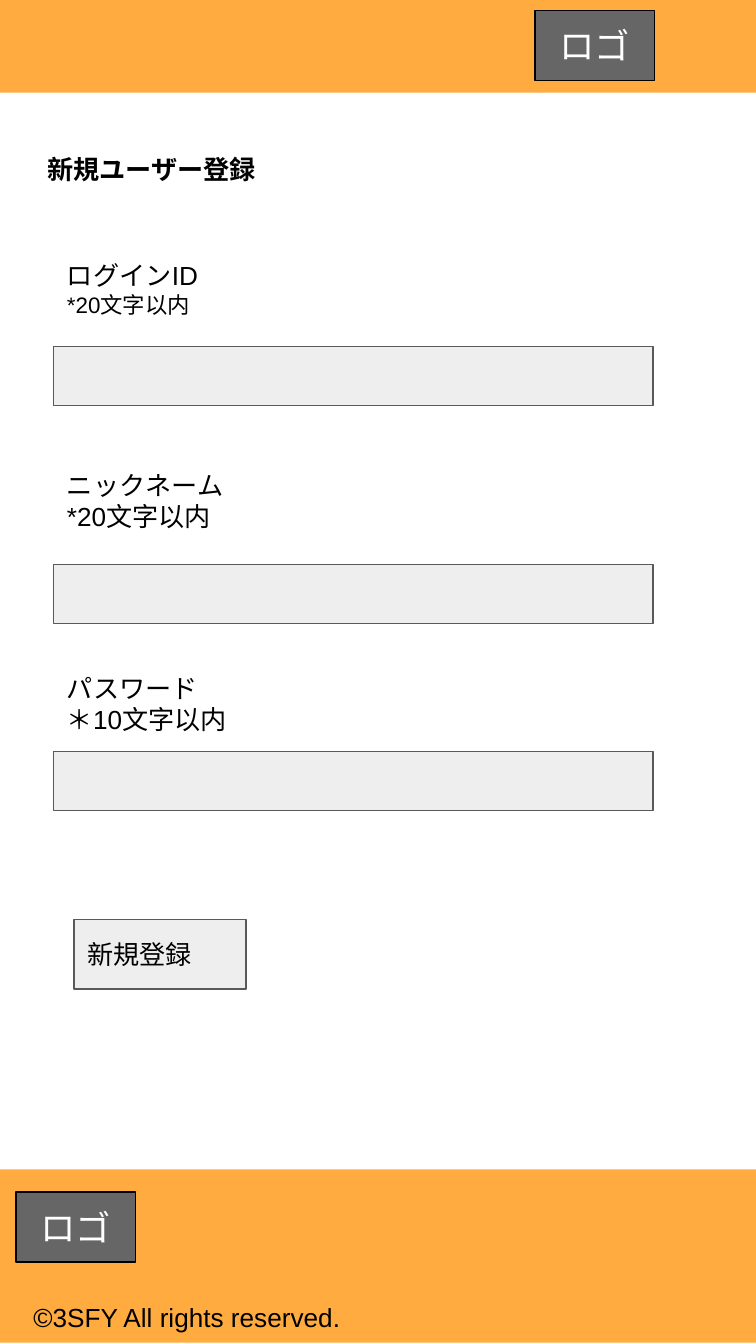
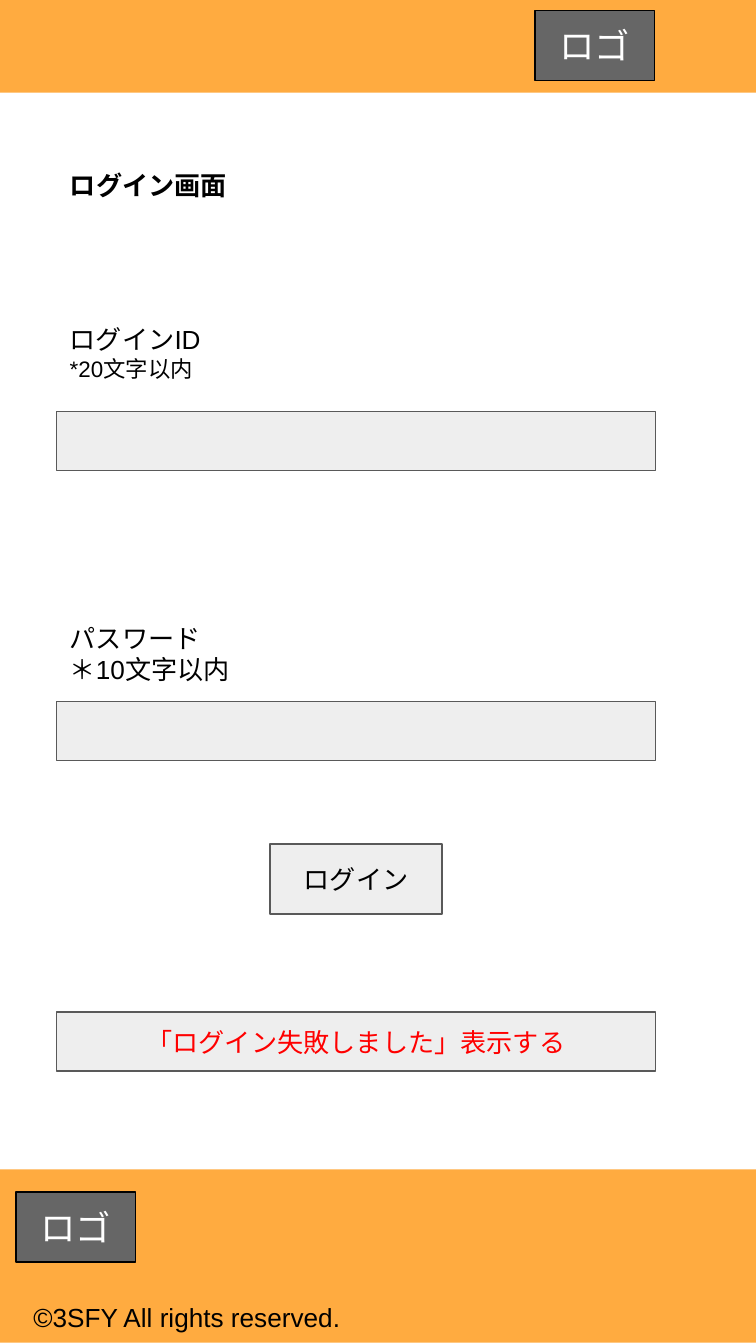
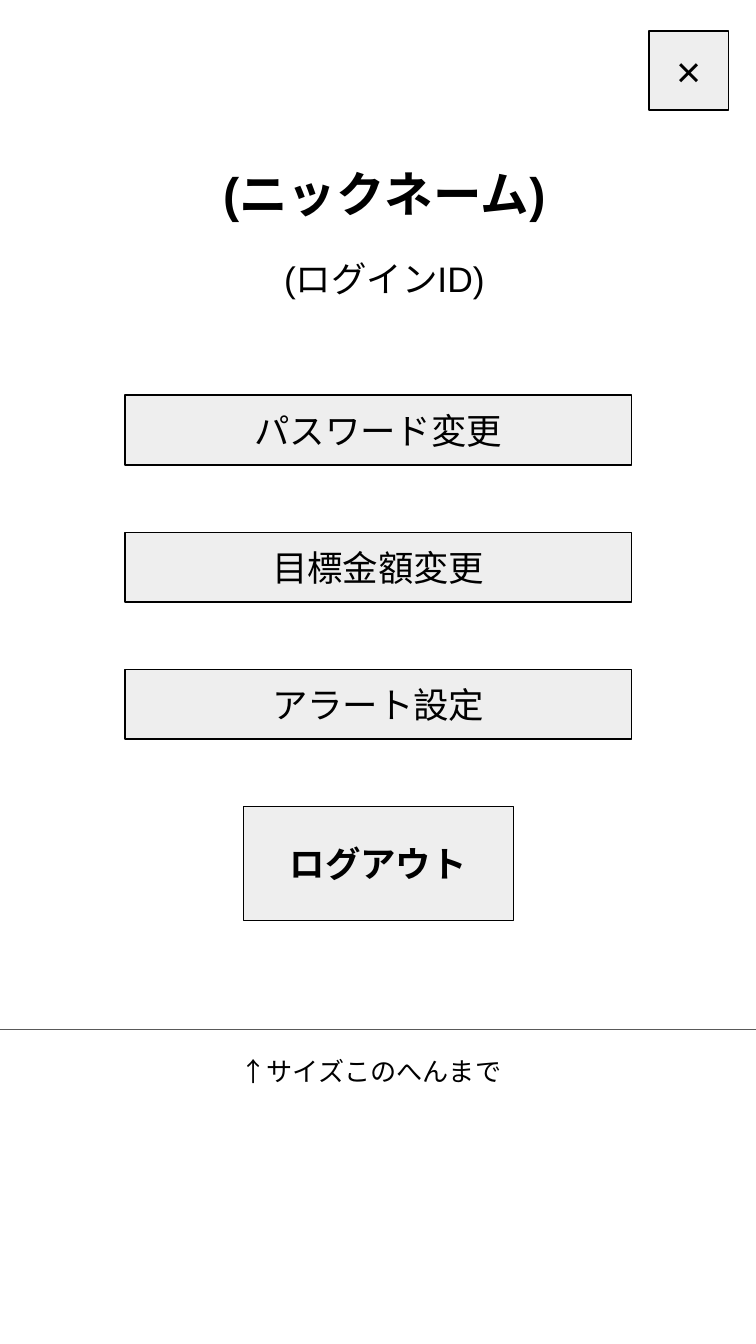
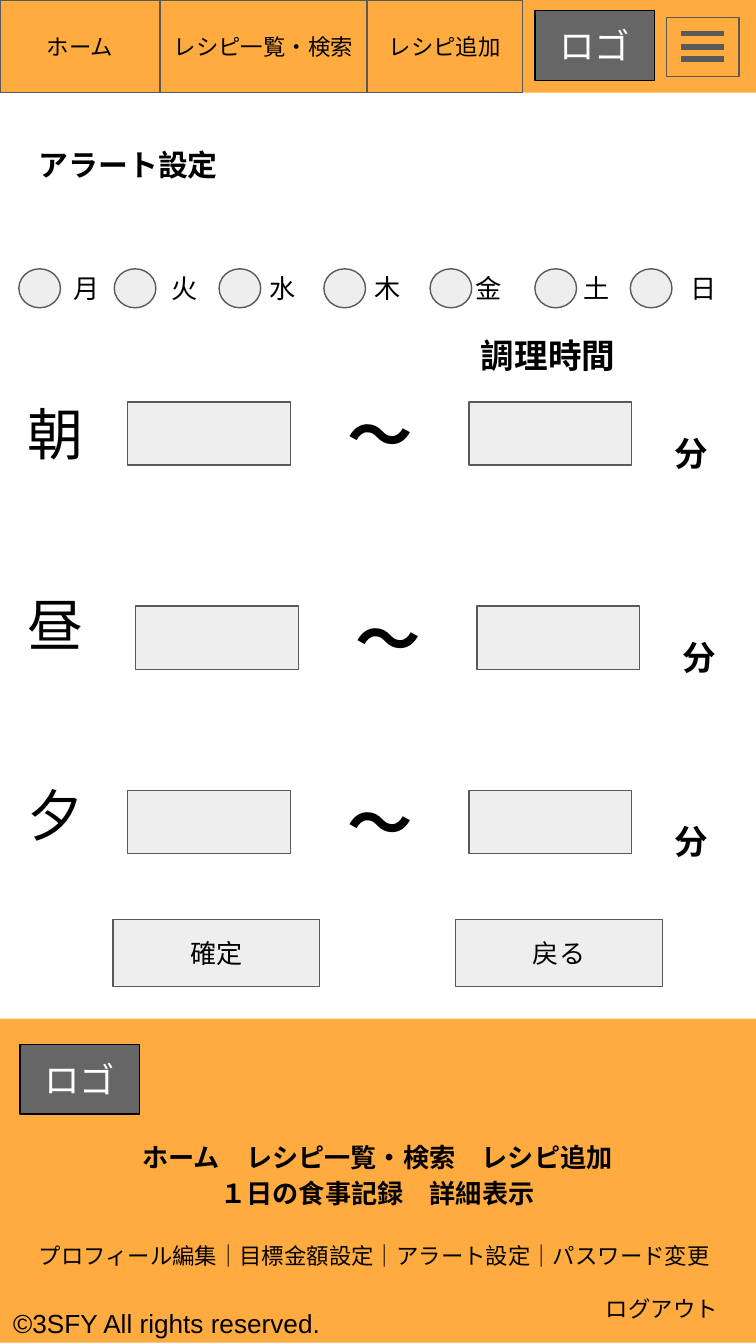
from lxml import etree
from pptx import Presentation
from pptx.dml.color import RGBColor
from pptx.enum.shapes import MSO_CONNECTOR, MSO_SHAPE
from pptx.enum.text import MSO_ANCHOR, MSO_AUTO_SIZE, PP_ALIGN
from pptx.oxml.ns import qn
from pptx.util import Inches, Pt

ORANGE = RGBColor(0xFF, 0xAB, 0x40)
LOGO_GRAY = RGBColor(0x66, 0x66, 0x66)
FIELD_GRAY = RGBColor(0xEE, 0xEE, 0xEE)
LINE_GRAY = RGBColor(0x59, 0x59, 0x59)
BLACK = RGBColor(0, 0, 0)
WHITE = RGBColor(0xFF, 0xFF, 0xFF)
RED = RGBColor(0xFF, 0, 0)

BODY_FONT = "Arial"
LOGO_FONT = "Comic Neue"
SLIDE_H = 10
SLIDE_W = SLIDE_H * 9 / 16
HEADER_H = 0.69
FOOTER_BOTTOM = 9.99
FIELD_W, FIELD_H = 4.46, 0.44
TITLE_ONLY = 5

# day, left of its circle, left of its label
DAYS = [("月", 0.14, 0.45), ("火", 0.85, 1.18), ("水", 1.63, 1.91),
        ("木", 2.41, 2.69), ("金", 3.2, 3.44), ("土", 3.98, 4.24),
        ("日", 4.69, 5.04)]
# meal, left and top of its first time box
MEALS = [("朝", 0.95, 2.99), ("昼", 1.01, 4.51), ("夕", 0.95, 5.88)]


def write(frame, text, size, bold=False, color=BLACK, align=PP_ALIGN.LEFT,
          font=BODY_FONT, anchor=MSO_ANCHOR.TOP):
    frame.text = text
    frame.word_wrap = True
    frame.vertical_anchor = anchor
    frame.margin_left = frame.margin_right = Inches(0.1)
    frame.margin_top = frame.margin_bottom = Inches(0.1)
    for paragraph in frame.paragraphs:
        paragraph.alignment = align
        for run in paragraph.runs:
            run.font.size = Pt(size)
            run.font.bold = bold
            run.font.color.rgb = color
            run.font.name = font


def add_title(slide, text, left, top, width, height, size=14,
              align=PP_ALIGN.LEFT):
    title = slide.shapes.title
    title.left, title.top = Inches(left), Inches(top)
    title.width, title.height = Inches(width), Inches(height)
    write(title.text_frame, text, size, bold=True, align=align)
    title.text_frame.auto_size = MSO_AUTO_SIZE.SHAPE_TO_FIT_TEXT


def add_label(slide, text, left, top, width, height, size=14, **style):
    label = slide.shapes.add_textbox(Inches(left), Inches(top),
                                     Inches(width), Inches(height))
    write(label.text_frame, text, size, **style)
    label.text_frame.auto_size = MSO_AUTO_SIZE.SHAPE_TO_FIT_TEXT
    return label.text_frame


def add_box(shapes, left, top, width, height, fill=FIELD_GRAY, line=LINE_GRAY,
            kind=MSO_SHAPE.RECTANGLE):
    box = shapes.add_shape(kind, Inches(left), Inches(top),
                           Inches(width), Inches(height))
    box.shadow.inherit = False
    box.fill.solid()
    box.fill.fore_color.rgb = fill
    if line is None:
        box.line.fill.background()
    else:
        box.line.color.rgb = line
        box.line.width = Pt(0.75)
    return box


def add_button(slide, text, left, top, width, height, size=14, fill=FIELD_GRAY,
               line=LINE_GRAY, align=PP_ALIGN.CENTER, **style):
    button = add_box(slide.shapes, left, top, width, height, fill, line)
    write(button.text_frame, text, size, align=align,
          anchor=MSO_ANCHOR.MIDDLE, **style)


def add_rule(shapes, left, right, y, weight):
    rule = shapes.add_connector(MSO_CONNECTOR.STRAIGHT, Inches(left), Inches(y),
                                Inches(right), Inches(y))
    rule.line.color.rgb = LINE_GRAY
    rule.line.width = Pt(weight)
    etree.SubElement(rule._element.spPr, qn("a:effectLst"))


def add_logo(slide, left, top):
    add_button(slide, "ロゴ", left, top, 0.89, 0.52, size=19, fill=LOGO_GRAY,
               line=BLACK, color=WHITE, font=LOGO_FONT)


def add_header(slide):
    add_box(slide.shapes, 0, 0, SLIDE_W, HEADER_H, ORANGE, None)
    add_logo(slide, 3.98, 0.08)


def add_footer(slide, top=8.7, logo=(0.12, 8.87), copyright_at=(0.15, 9.58)):
    add_box(slide.shapes, 0, top, SLIDE_W, FOOTER_BOTTOM - top, ORANGE, None)
    add_logo(slide, *logo)
    add_label(slide, "©3SFY All rights reserved.", *copyright_at, 2.8, 0.44)


def add_field(slide, caption, left, caption_top, field_top, hint_size=14):
    """Add a two-line caption and the empty input field below it."""
    frame = add_label(slide, caption, left, caption_top, 2.29, 0.67)
    frame.paragraphs[1].runs[0].font.size = Pt(hint_size)
    add_box(slide.shapes, left, field_top, FIELD_W, FIELD_H)


def add_menu_icon(slide):
    icon = slide.shapes.add_group_shape().shapes
    add_box(icon, 4.96, 0.13, 0.54, 0.44, ORANGE)
    for y in (0.25, 0.35, 0.44):
        add_rule(icon, 5.07, 5.39, y, 3)


def add_meal_row(slide, left, top):
    """Add the time box, tilde, duration box and unit of one meal."""
    for offset in (0, 2.54):
        add_box(slide.shapes, left + offset, top, 1.21, 0.47)
    add_label(slide, "～", left + 1.54, top - 0.16, 0.65, 0.79, 35, bold=True)
    add_label(slide, "分", left + 3.97, top + 0.13, 0.54, 0.5, 18, bold=True)


def build_registration(slide):
    add_title(slide, "新規ユーザー登録", 0.25, 1.04, 1.89, 0.44)
    add_header(slide)
    add_footer(slide)
    add_field(slide, "ログインID\n*20文字以内", 0.4, 1.83, 2.58, hint_size=12)
    add_field(slide, "ニックネーム\n*20文字以内", 0.4, 3.39, 4.2)
    add_field(slide, "パスワード\n＊10文字以内", 0.4, 4.9, 5.59)
    add_button(slide, "新規登録", 0.55, 6.84, 1.28, 0.52, align=PP_ALIGN.LEFT)


def build_login(slide):
    add_title(slide, "ログイン画面", 0.42, 1.16, 2.53, 0.44)
    add_header(slide)
    add_footer(slide)
    add_field(slide, "ログインID\n*20文字以内", 0.42, 2.31, 3.06, hint_size=12)
    add_field(slide, "パスワード\n＊10文字以内", 0.42, 4.53, 5.22)
    add_button(slide, "ログイン", 2.01, 6.28, 1.28, 0.52)
    add_button(slide, "「ログイン失敗しました」表示する", 0.42, 7.53,
               FIELD_W, FIELD_H, color=RED)


def build_account_menu(slide):
    add_title(slide, "(ニックネーム)", 1.17, 1.12, 3.38, 0.64, 26,
              PP_ALIGN.CENTER)
    add_label(slide, "(ログインID)", 1.17, 1.81, 3.38, 0.52, 19,
              align=PP_ALIGN.CENTER)
    add_button(slide, "×", 4.83, 0.23, 0.59, 0.59, 23, line=BLACK)
    for row, entry in enumerate(("パスワード変更", "目標金額変更", "アラート設定")):
        add_button(slide, entry, 0.93, 2.94 + 1.02 * row, 3.77, 0.52, 19,
                   line=BLACK)
    add_button(slide, "ログアウト", 1.81, 6, 2.01, 0.85, 19, line=BLACK, bold=True)
    add_rule(slide.shapes, 0, SLIDE_W, 7.66, 0.75)
    add_label(slide, "↑サイズこのへんまで", 1.69, 7.75, 3.6, 0.44)


def build_alert_settings(slide):
    add_title(slide, "アラート設定", 0.19, 0.99, 1.71, 0.47, 16)
    add_header(slide)
    tab_left = 0
    for tab, width in (("ホーム", 1.19), ("レシピ一覧・検索", 1.54), ("レシピ追加", 1.16)):
        add_button(slide, tab, tab_left, 0, width, HEADER_H, 12, fill=ORANGE)
        tab_left += width
    add_menu_icon(slide)

    for day, circle_left, label_left in DAYS:
        add_box(slide.shapes, circle_left, 2, 0.31, 0.29, kind=MSO_SHAPE.OVAL)
        add_label(slide, day, label_left, 1.93, 0.54, 0.44)
    add_label(slide, "調理時間", 3.48, 2.39, 1.71, 0.5, 18, bold=True)
    for row, (meal, left, top) in enumerate(MEALS):
        add_label(slide, meal, 0.11, 2.87 + 1.42 * row, 0.89, 0.71, 30)
        add_meal_row(slide, left, top)
    for action, left in (("確定", 0.84), ("戻る", 3.39)):
        add_button(slide, action, left, 6.84, 1.54, 0.5)

    add_footer(slide, 7.58, (0.15, 7.77), (0, 9.63))
    site_links = add_label(
        slide, "ホーム　レシピ一覧・検索　レシピ追加\n１日の食事記録　詳細表示",
        0.19, 8.36, 5.24, 0.71, bold=True, align=PP_ALIGN.CENTER)
    for paragraph in site_links.paragraphs:
        paragraph.line_spacing = 1.15
    add_label(slide, "プロフィール編集｜目標金額設定｜アラート設定｜パスワード変更",
              0.19, 9.14, 5.24, 0.4, 12)
    add_label(slide, "ログアウト", 4.41, 9.54, 1.21, 0.4, 12)


def main():
    deck = Presentation()
    deck.slide_width, deck.slide_height = Inches(SLIDE_W), Inches(SLIDE_H)
    for build in (build_registration, build_login, build_account_menu,
                  build_alert_settings):
        build(deck.slides.add_slide(deck.slide_layouts[TITLE_ONLY]))
    deck.save("out.pptx")


if __name__ == "__main__":
    main()
